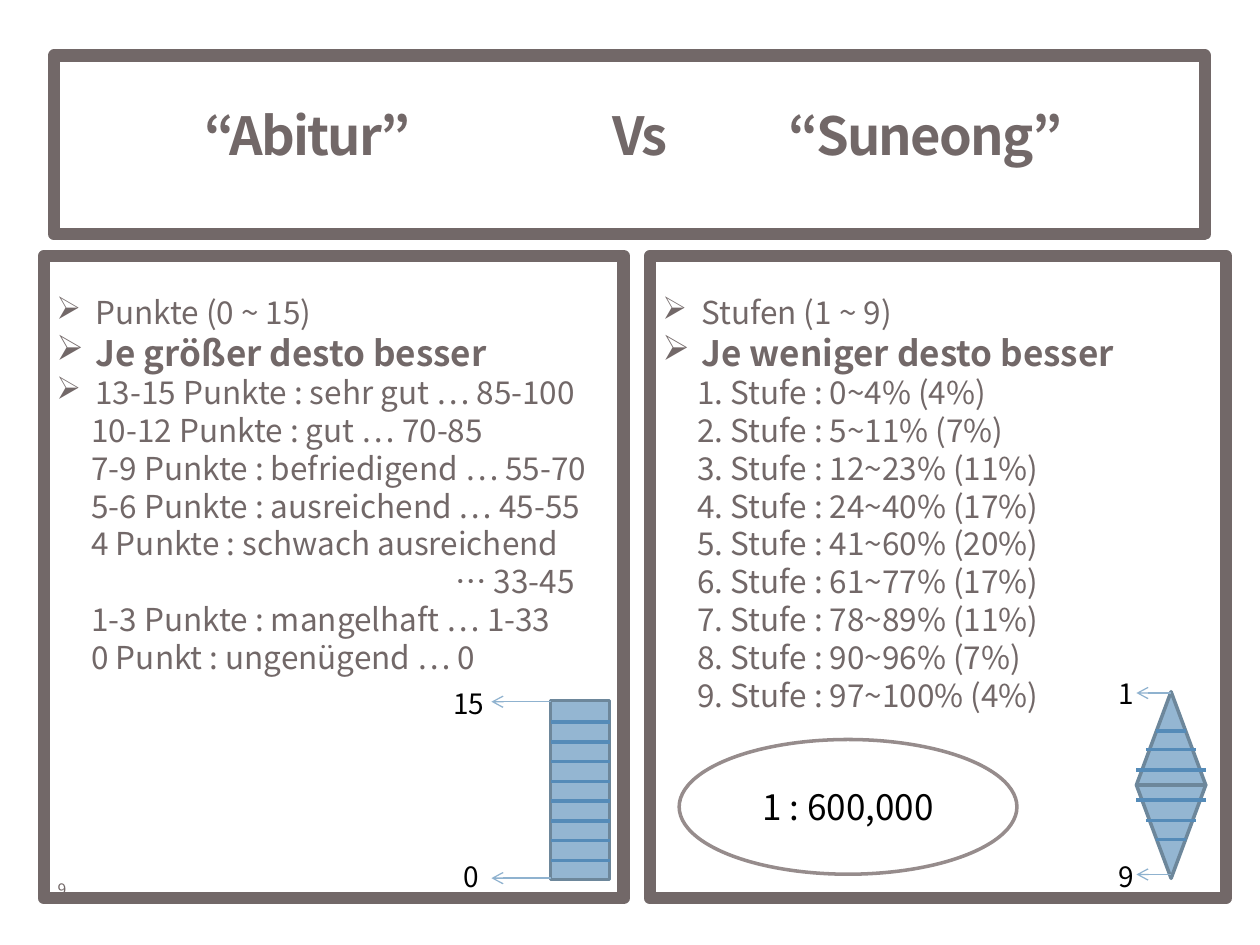
"""Build a slide comparing the grading of Abitur and Suneong."""
from typing import NamedTuple

from lxml import etree
from pptx import Presentation
from pptx.dml.color import RGBColor
from pptx.enum.shapes import MSO_CONNECTOR, MSO_SHAPE
from pptx.enum.text import MSO_ANCHOR, PP_ALIGN
from pptx.oxml.ns import qn
from pptx.util import Pt

RECT = MSO_SHAPE.RECTANGLE
OVAL = MSO_SHAPE.OVAL
WEDGE = MSO_SHAPE.ISOSCELES_TRIANGLE
LINE = MSO_CONNECTOR.STRAIGHT
TOP, MIDDLE = MSO_ANCHOR.TOP, MSO_ANCHOR.MIDDLE
LEFT, CENTER = PP_ALIGN.LEFT, PP_ALIGN.CENTER

FONT = "Noto Sans CJK KR"
BROWN = RGBColor(0x72, 0x68, 0x68)
TAUPE = RGBColor(0x96, 0x8C, 0x8C)
BLUE = RGBColor(0x94, 0xB6, 0xD2)
SLATE = RGBColor(0x6D, 0x87, 0x9B)
STEEL = RGBColor(0x55, 0x8B, 0xB8)
SKY = RGBColor(0x8F, 0xB2, 0xCF)
BLACK = RGBColor(0, 0, 0)
WHITE = RGBColor(0xFF, 0xFF, 0xFF)


class Box(NamedTuple):
    x: float
    y: float
    w: float
    h: float


class Item(NamedTuple):
    text: str
    size: float = 18
    bold: bool = False
    bullet: bool = False
    indent: float = 20


class Panel(NamedTuple):
    box: Box
    items: list[Item]


class Label(NamedTuple):
    text: str
    x: float
    y: float


class Arrow(NamedTuple):
    start: float
    end: float
    y: float


FRAME = Box(31, 31.7, 657.4, 102.2)
TITLE = Box(36.7, 31.7, 674.6, 90.7)
STOPS = (73, 306, 407)
BAR = Box(314.6, 400.3, 33.8, 102.2)
KITE = Box(649.4, 395.3, 39.6, 53.3)
RINGS = ((8.6, 19.8), (20.2, 14.4), (31, 8.6))

PANELS = [
    Panel(Box(371.5, 146.2, 329, 367.2), [
        Item("Stufen (1 ~ 9)", bullet=True),
        Item("Je weniger desto besser", 20, True, True),
        Item("1. Stufe : 0~4% (4%)"),
        Item("2. Stufe : 5~11% (7%)"),
        Item("3. Stufe : 12~23% (11%)"),
        Item("4. Stufe : 24~40% (17%)"),
        Item("5. Stufe : 41~60% (20%)"),
        Item("6. Stufe : 61~77% (17%)"),
        Item("7. Stufe : 78~89% (11%)"),
        Item("8. Stufe : 90~96% (7%)"),
        Item("9. Stufe : 97~100% (4%)"),
    ]),
    Panel(Box(25.2, 146.2, 331.2, 367.2), [
        Item("Punkte (0 ~ 15)", bullet=True),
        Item("Je größer desto besser", 20, True, True),
        Item("13-15 Punkte : sehr gut … 85-100", bullet=True),
        Item("10-12 Punkte : gut … 70-85"),
        Item("7-9 Punkte : befriedigend … 55-70"),
        Item("5-6 Punkte : ausreichend … 45-55"),
        Item("4 Punkte : schwach ausreichend"),
        Item("… 33-45", indent=228),
        Item("1-3 Punkte : mangelhaft … 1-33"),
        Item("0 Punkt : ungenügend … 0"),
    ]),
]
LABELS = [Label("15", 252, 388.8), Label("0", 257.8, 487.4),
          Label("1", 632.2, 383), Label("9", 632.2, 487.4)]
ARROWS = [Arrow(314.6, 280.8, 401), Arrow(314.6, 280.8, 501.8),
          Arrow(669.2, 649.4, 396), Arrow(669.2, 649.4, 499.7)]


def style(par, size: float, color: RGBColor, bold: bool = False) -> None:
    """Set the font of a paragraph."""
    font = par.font
    font.name, font.size, font.bold = FONT, Pt(size), bold
    font.color.rgb = color


def shape(page, kind, box: Box, line: RGBColor, width: float, fill=None):
    """Draw a preset shape."""
    item = page.shapes.add_shape(kind, *map(Pt, box))
    item.shadow.inherit = False
    if fill is None:
        item.fill.background()
    else:
        item.fill.solid()
        item.fill.fore_color.rgb = fill
    item.line.color.rgb = line
    item.line.width = Pt(width)
    return item


def rule(page, start: float, end: float, y: float, color: RGBColor,
         width: float, arrow: bool = False) -> None:
    """Draw a level line, with an arrowhead at its end if asked."""
    link = page.shapes.add_connector(LINE, Pt(start), Pt(y), Pt(end), Pt(y))
    link.line.color.rgb = color
    link.line.width = Pt(width)
    if arrow:
        etree.SubElement(link.line._get_or_add_ln(), qn("a:tailEnd"), type="arrow")
    etree.SubElement(link._element.spPr, qn("a:effectLst"))


def write(page, text: str, box: Box, size: float, color: RGBColor,
          wrap: bool = True):
    """Add a text box of one paragraph."""
    frame = page.shapes.add_textbox(*map(Pt, box)).text_frame
    frame.word_wrap = wrap
    par = frame.paragraphs[0]
    par.text = text
    style(par, size, color)
    return frame


def fill_panel(page, panel: Panel) -> None:
    """Draw a framed list."""
    frame = shape(page, RECT, panel.box, BROWN, 7).text_frame
    frame.word_wrap = True
    frame.vertical_anchor = TOP
    frame.margin_top = Pt(21.5)
    for i, item in enumerate(panel.items):
        par = frame.add_paragraph() if i else frame.paragraphs[0]
        par.text = item.text
        par.alignment = LEFT
        par.line_spacing = Pt(item.size * 1.2)
        props = par._p.get_or_add_pPr()
        props.set("marL", str(Pt(22.3 if item.bullet else item.indent)))
        props.set("indent", str(Pt(-22.3 if item.bullet else 0)))
        if item.bullet:
            etree.SubElement(props, qn("a:buChar"), char="➢")
        style(par, item.size, BROWN, item.bold)


def add_title(page) -> None:
    """Write the heading on its tab stops."""
    frame = page.shapes.add_textbox(*map(Pt, TITLE)).text_frame
    frame.word_wrap = True
    frame.vertical_anchor = MIDDLE
    par = frame.paragraphs[0]
    par.text = "\t“Abitur”\tVs\t“Suneong”"
    tabs = etree.SubElement(par._p.get_or_add_pPr(), qn("a:tabLst"))
    for stop in STOPS:
        etree.SubElement(tabs, qn("a:tab"), pos=str(Pt(stop)), algn="l")
    style(par, 30, BROWN, True)
    for run in par.runs:
        run._r.get_or_add_rPr().set("spc", "-100")


def add_scales(page) -> None:
    """Draw the bar and the kite with their marks."""
    shape(page, RECT, BAR, SLATE, 2, BLUE)
    for i in range(8):
        rule(page, BAR.x, BAR.x + BAR.w, 412.6 + 11.3 * i, STEEL, 2)
    shape(page, WEDGE, KITE, SLATE, 2, BLUE)
    base = KITE.y + KITE.h
    shape(page, WEDGE, KITE._replace(y=base), SLATE, 2, BLUE).rotation = 180
    mid = KITE.x + KITE.w / 2
    for gap, half in RINGS:
        for y in (base - gap, base + gap):
            rule(page, mid - half, mid + half, y, STEEL, 2)
    for arrow in ARROWS:
        rule(page, *arrow, SKY, 0.75, True)
    for label in LABELS:
        write(page, label.text, Box(label.x, label.y, 33.8, 26.6), 16, BLACK)


def add_ratio(page) -> None:
    """Draw the oval with the ratio."""
    oval = shape(page, OVAL, Box(388.1, 422.6, 193, 77), TAUPE, 2, WHITE)
    oval.text_frame.vertical_anchor = MIDDLE
    par = oval.text_frame.paragraphs[0]
    par.text = "1 : 600,000"
    par.alignment = CENTER
    style(par, 20, BLACK)


def main() -> None:
    """Build and save the slide."""
    deck = Presentation()
    deck.slide_width, deck.slide_height = Pt(720), Pt(540)
    page = deck.slides.add_slide(deck.slide_layouts[6])
    write(page, "9", Box(25.9, 499, 37.4, 18), 9, BROWN, False)
    for panel in PANELS:
        fill_panel(page, panel)
    add_title(page)
    shape(page, RECT, FRAME, BROWN, 7)
    add_scales(page)
    add_ratio(page)
    deck.save("out.pptx")


if __name__ == "__main__":
    main()
